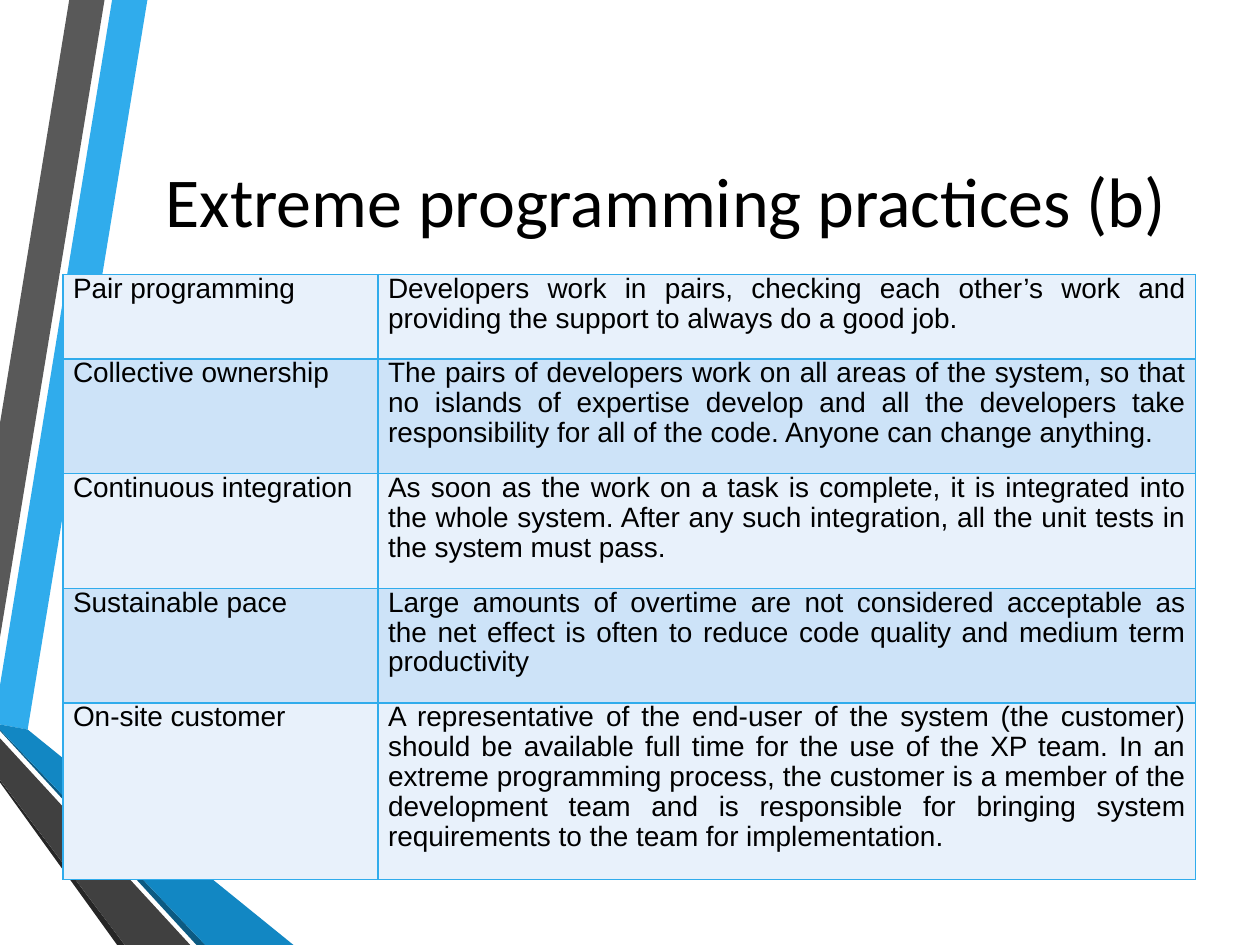
from pptx import Presentation
from pptx.dml.color import RGBColor
from pptx.enum.text import MSO_ANCHOR, PP_ALIGN
from pptx.oxml.ns import qn
from pptx.util import Inches, Pt
from lxml import etree

MIDDLE = MSO_ANCHOR.MIDDLE
TOP = MSO_ANCHOR.TOP
CENTER = PP_ALIGN.CENTER
JUSTIFY = PP_ALIGN.JUSTIFY

THEME = {
    "blue": "30ACEC",
    "mid_blue": "1287C3",
    "deep_blue": "0C5A82",
    "gray": "595959",
    "dark_gray": "404040",
    "darkest_gray": "262626",
    "bands": ("E8F1FB", "CDE3F8"),
    "title": {"name": "Calibri", "size": Pt(40)},
    "body": {"name": "Arial", "size": Pt(16)},
    "text": "000000",
    "border": Pt(1),
}

RIBBONS = [
    ("blue", [(0, 5.44), (0, 5.75), (0.22, 5.79), (1.17, 0), (0.89, 0)]),
    ("gray", [(0.83, 0), (0.55, 0), (0, 3.36), (0, 5.06)]),
    ("darkest_gray", [(0, 6.19), (0, 6.21), (0.93, 7.5), (0.99, 7.5)]),
    ("deep_blue", [(0, 5.79), (0, 5.8), (1.56, 7.5), (1.63, 7.5)]),
    ("mid_blue", [(0, 5.79), (1.63, 7.5), (2.33, 7.5), (0.22, 5.79), (0, 5.75)]),
    ("dark_gray", [(0, 6.19), (0.99, 7.5), (1.51, 7.5), (0, 5.86)]),
]

COLUMN_WIDTHS = (2.5, 6.49)
PRACTICES = [
    (0.67, "Pair programming",
     "Developers work in pairs, checking each other’s work and providing "
     "the support to always do a good job."),
    (0.91, "Collective ownership",
     "The pairs of developers work on all areas of the system, so that no "
     "islands of expertise develop and all the developers take "
     "responsibility for all of the code. Anyone can change anything."),
    (0.91, "Continuous integration",
     "As soon as the work on a task is complete, it is integrated into the "
     "whole system. After any such integration, all the unit tests in the "
     "system must pass."),
    (0.91, "Sustainable pace",
     "Large amounts of overtime are not considered acceptable as the net "
     "effect is often to reduce code quality and medium term productivity"),
    (1.4, "On-site customer",
     "A representative of the end-user of the system (the customer) should "
     "be available full time for the use of the XP team. In an extreme "
     "programming process, the customer is a member of the development team "
     "and is responsible for bringing system requirements to the team for "
     "implementation."),
]
CELL_FORMAT = {
    "margin_left": Inches(0.08),
    "margin_top": Inches(0),
    "margin_right": Inches(0.08),
    "margin_bottom": Inches(0.1),
    "vertical_anchor": TOP,
}


def write(paragraph, text, style, alignment):
    paragraph.alignment = alignment
    span = paragraph.add_run()
    span.text = text
    for name, value in THEME[style].items():
        setattr(span.font, name, value)
    span.font.color.rgb = RGBColor.from_string(THEME["text"])


def add_borders(cell):
    properties = cell._tc.get_or_add_tcPr()
    for position, side in enumerate(("a:lnL", "a:lnR", "a:lnT", "a:lnB")):
        line = etree.Element(qn(side), w=str(THEME["border"]))
        fill = etree.SubElement(line, qn("a:solidFill"))
        etree.SubElement(fill, qn("a:srgbClr"), val=THEME["blue"])
        properties.insert(position, line)


deck = Presentation()
deck.slide_width, deck.slide_height = Inches(10), Inches(7.5)
page = deck.slides.add_slide(deck.slide_layouts[6])

# Folded ribbons along the left edge
for color, points in RIBBONS:
    corners = [(Inches(x), Inches(y)) for x, y in points]
    builder = page.shapes.build_freeform(*corners[0])
    builder.add_line_segments(corners[1:], close=True)
    ribbon = builder.convert_to_shape()
    ribbon.shadow.inherit = False
    ribbon.fill.solid()
    ribbon.fill.fore_color.rgb = RGBColor.from_string(THEME[color])
    ribbon.line.fill.background()

# Title
title = page.shapes.add_textbox(Inches(1.07), Inches(0.5), Inches(8.43), Inches(2.17))
title.text_frame.word_wrap = True
title.text_frame.vertical_anchor = MIDDLE
write(title.text_frame.paragraphs[0], "Extreme programming practices (b)", "title", CENTER)

# Table of practices
table = page.shapes.add_table(
    len(PRACTICES), len(COLUMN_WIDTHS), Inches(0.5), Inches(2.18),
    Inches(sum(COLUMN_WIDTHS)), Inches(sum(row[0] for row in PRACTICES)),
).table
for column, width in zip(table.columns, COLUMN_WIDTHS):
    column.width = Inches(width)
for index, (height, *texts) in enumerate(PRACTICES):
    row = table.rows[index]
    row.height = Inches(height)
    for cell, text in zip(row.cells, texts):
        for name, value in CELL_FORMAT.items():
            setattr(cell, name, value)
        cell.fill.solid()
        cell.fill.fore_color.rgb = RGBColor.from_string(THEME["bands"][index % 2])
        add_borders(cell)
        paragraph = cell.text_frame.paragraphs[0]
        paragraph.line_spacing = 0.96
        write(paragraph, text, "body", JUSTIFY)

deck.save("out.pptx")
